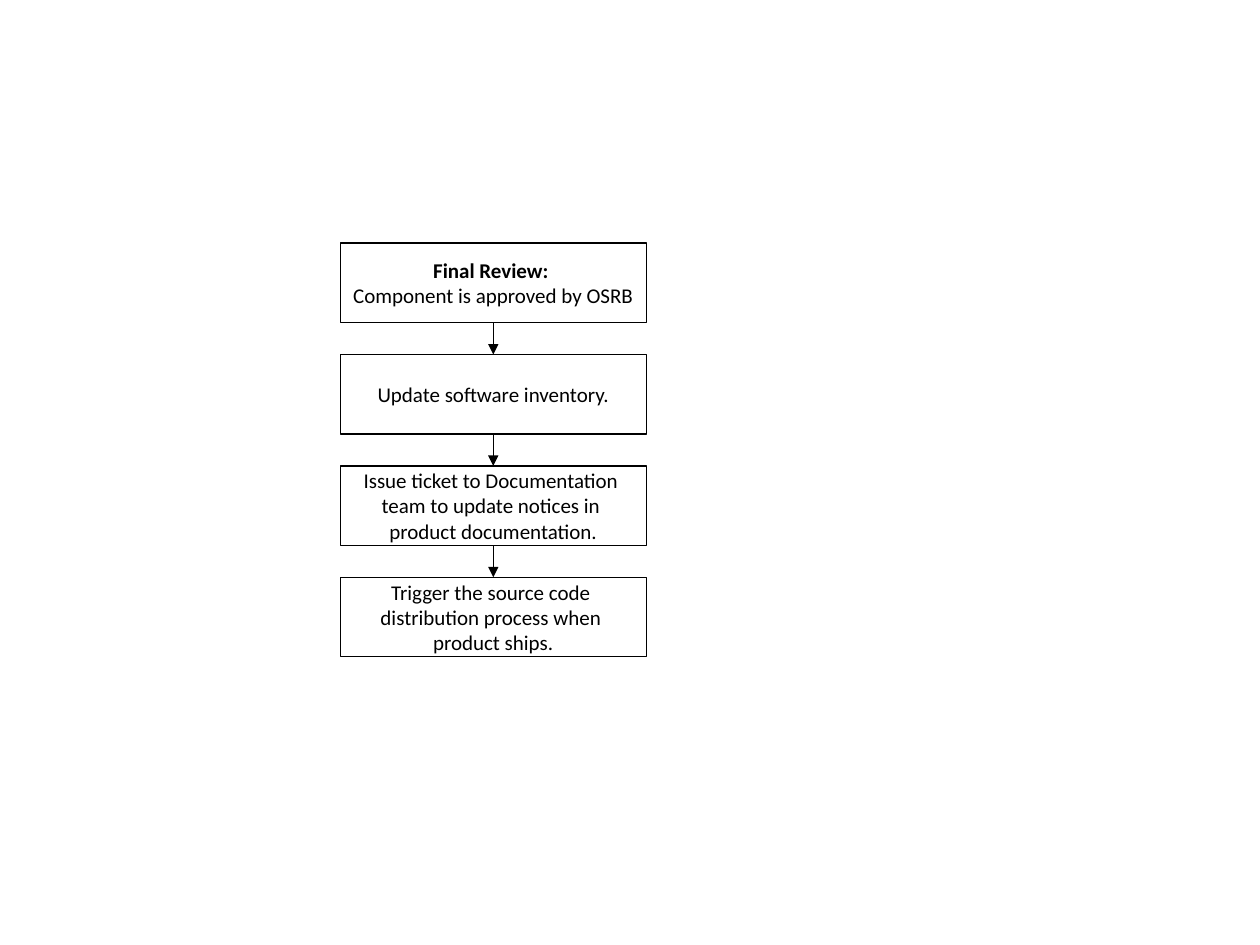
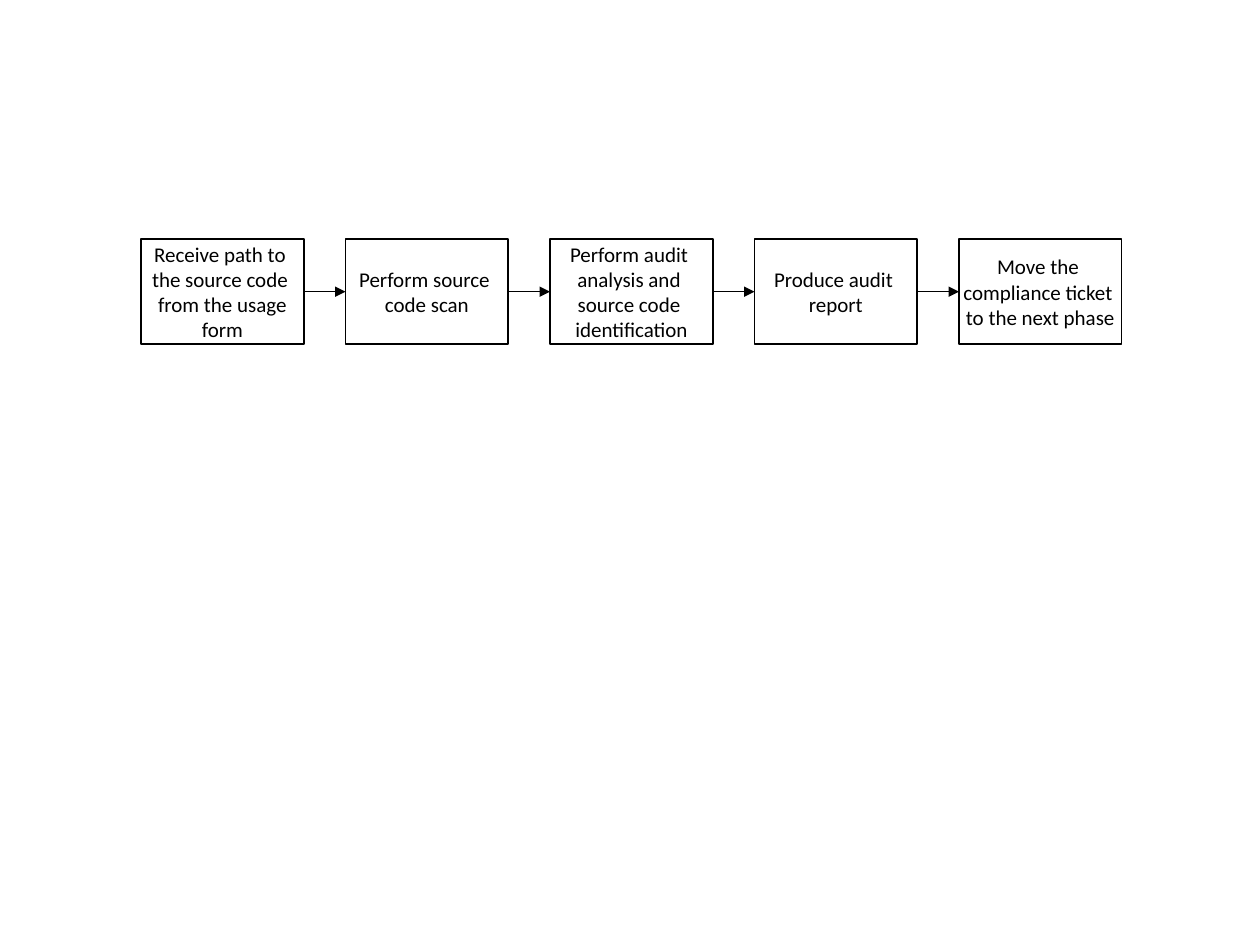
from lxml.etree import SubElement
from pptx import Presentation
from pptx.dml.color import RGBColor
from pptx.enum.shapes import MSO_CONNECTOR, MSO_SHAPE
from pptx.enum.text import MSO_ANCHOR, PP_ALIGN
from pptx.oxml.ns import qn
from pptx.util import Inches, Pt

THEME = {
    "ink": RGBColor(0x00, 0x00, 0x00),
    "font": {"name": "Calibri", "size": Pt(12)},
    "arrow_width": Pt(0.75),
}
TEXT_FRAME = {"word_wrap": False, "vertical_anchor": MSO_ANCHOR.MIDDLE}
COLUMNS, ROWS = 100, 75

# Places, sizes and steps are in columns and rows of the slide grid;
# sites are the connection points where an arrow leaves and arrives.
FLOWS = [
    {
        "start": (27, 19.3), "size": (24.3, 6.3), "step": (0, 8.84),
        "sites": (2, 0), "outline": Pt(0.75), "bold_lines": ["Final Review: "],
        "steps": [
            ["Final Review: ", "Component is approved by OSRB"],
            ["Update software inventory."],
            ["Issue ticket to Documentation ", "team to update notices in ",
             "product documentation."],
            ["Trigger the source code ", "distribution process when ",
             "product ships."],
        ],
    },
    {
        "start": (11.2, 19), "size": (12.9, 8.3), "step": (16.23, 0),
        "sites": (3, 1), "outline": Pt(1), "bold_lines": [],
        "steps": [
            ["Receive path to ", "the source code ", "from the usage", "form"],
            ["Perform source ", "code scan"],
            ["Perform audit ", "analysis and ", "source code ", "identification"],
            ["Produce audit ", "report"],
            ["Move the ", "compliance ticket ", "to the next phase"],
        ],
    },
]


def set_format(target, values):
    for name, value in values.items():
        setattr(target, name, value)


presentation = Presentation()
set_format(presentation, {"slide_width": Inches(10), "slide_height": Inches(7.5)})
column = presentation.slide_width / COLUMNS
row = presentation.slide_height / ROWS
blank_layout = presentation.slide_layouts[6]

for flow in FLOWS:
    slide = presentation.slides.add_slide(blank_layout)
    (left, top), (width, height) = flow["start"], flow["size"]
    step_across, step_down = flow["step"]

    boxes = []
    for index, lines in enumerate(flow["steps"]):
        box = slide.shapes.add_shape(
            MSO_SHAPE.RECTANGLE,
            round((left + index * step_across) * column),
            round((top + index * step_down) * row),
            round(width * column), round(height * row))
        box.shadow.inherit = False
        box.fill.background()
        box.line.color.rgb = THEME["ink"]
        box.line.width = flow["outline"]
        set_format(box.text_frame, TEXT_FRAME)
        box.text_frame.text = "\n".join(lines)
        for paragraph in box.text_frame.paragraphs:
            paragraph.alignment = PP_ALIGN.CENTER
            for run in paragraph.runs:
                set_format(run.font, THEME["font"])
                run.font.color.rgb = THEME["ink"]
                run.font.bold = run.text in flow["bold_lines"]
        boxes.append(box)

    leave_site, arrive_site = flow["sites"]
    for source_box, target_box in zip(boxes, boxes[1:]):
        arrow = slide.shapes.add_connector(MSO_CONNECTOR.STRAIGHT, 0, 0, 0, 0)
        arrow.begin_connect(source_box, leave_site)
        arrow.end_connect(target_box, arrive_site)
        arrow.line.color.rgb = THEME["ink"]
        arrow.line.width = THEME["arrow_width"]
        properties = arrow._element.spPr
        SubElement(properties.find(qn("a:ln")), qn("a:tailEnd"), type="triangle")
        SubElement(properties, qn("a:effectLst"))

presentation.save("out.pptx")
